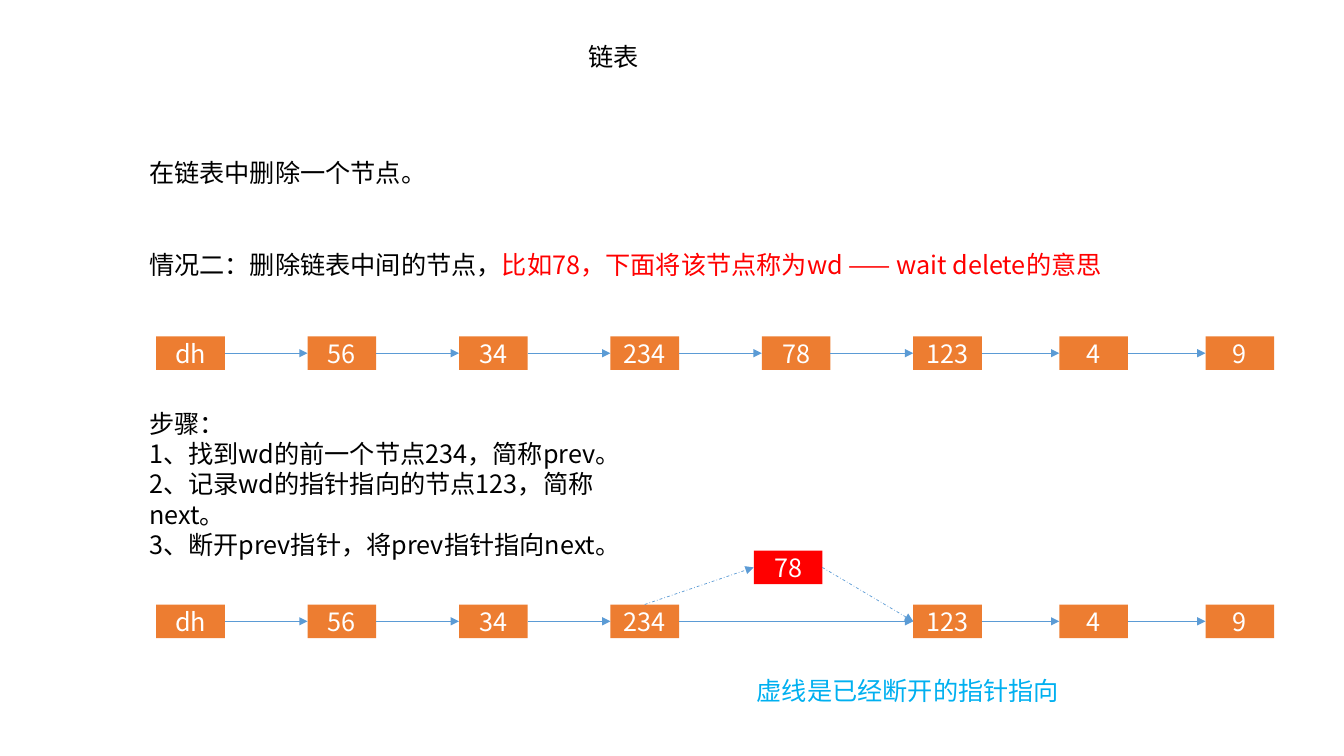
from itertools import accumulate

from lxml import etree
from pptx import Presentation
from pptx import util as u
from pptx.dml.color import RGBColor
from pptx.enum import dml, shapes, text
from pptx.oxml.ns import qn

TOP, LEFT, RIGHT = 0, 1, 3  # connection sites of a rectangle


def color(value):
    return RGBColor.from_string(value)


class SlideBuilder:
    font, size = "Noto Sans CJK SC", 18
    black, white, red, blue = "000000", "FFFFFF", "FF0000", "00B0F0"
    node_fill, arrow_line = "ED7D31", "5B9BD5"
    node_width, node_height = 49, 24

    def __init__(self, slide):
        self.slide = slide

    def run(self, paragraph, words, ink):
        run = paragraph.add_run()
        run.text = words
        run.font.name = self.font
        run.font.size = u.Pt(self.size)
        run.font.color.rgb = color(ink)
        east_asian = etree.SubElement(run.font._element, qn("a:ea"))
        east_asian.set("typeface", self.font)

    def text_box(self, left, top, width, height, paragraphs):
        box = self.slide.shapes.add_textbox(
            u.Pt(left), u.Pt(top), u.Pt(width), u.Pt(height))
        frame = box.text_frame
        frame.word_wrap = True
        for index, runs in enumerate(paragraphs):
            paragraph = frame.add_paragraph() if index else frame.paragraphs[0]
            for words, ink in runs:
                self.run(paragraph, words, ink)

    def node(self, left, top, label, fill=node_fill):
        shape = self.slide.shapes.add_shape(
            shapes.MSO_SHAPE.RECTANGLE, u.Pt(left), u.Pt(top),
            u.Pt(self.node_width), u.Pt(self.node_height))
        shape.shadow.inherit = False
        shape.fill.solid()
        shape.fill.fore_color.rgb = color(fill)
        shape.line.fill.background()
        frame = shape.text_frame
        frame.vertical_anchor = text.MSO_ANCHOR.MIDDLE
        paragraph = frame.paragraphs[0]
        paragraph.alignment = text.PP_ALIGN.CENTER
        self.run(paragraph, label, self.white)
        return shape

    def arrow(self, source, target, source_site=RIGHT, dashed=False):
        connector = self.slide.shapes.add_connector(
            shapes.MSO_CONNECTOR.STRAIGHT, 0, 0, 0, 0)
        connector.begin_connect(source, source_site)
        connector.end_connect(target, LEFT)
        line = connector.line
        line.color.rgb = color(self.arrow_line)
        line.width = u.Pt(0.5)
        if dashed:
            line.dash_style = dml.MSO_LINE.DASH_DOT
        properties = connector._element.spPr
        etree.SubElement(properties.find(qn("a:ln")), qn("a:tailEnd"), type="triangle")
        etree.SubElement(properties, qn("a:effectLst"))
        return connector

    def linked_list(self, top, positions):
        """Draw a grouped row of nodes, each pointing to the next one."""
        nodes = {label: self.node(left, top, label) for label, left in positions.items()}
        row = list(nodes.values())
        arrows = [self.arrow(source, target) for source, target in zip(row, row[1:])]
        self.slide.shapes.add_group_shape(row + arrows)
        return nodes


def main():
    presentation = Presentation()
    presentation.slide_width, presentation.slide_height = u.Pt(960), u.Pt(540)
    slide = presentation.slides.add_slide(presentation.slide_layouts[6])
    builder = SlideBuilder(slide)
    black, red = builder.black, builder.red

    # Title and explanation
    builder.text_box(413.3, 25.9, 51.2, 29, [[("链表", black)]])
    builder.text_box(99.4, 108.7, 214.6, 29, [[("在链表中删除一个节点。", black)]])
    builder.text_box(99.4, 174.2, 697, 29, [[
        ("情况二：删除链表中间的节点，", black),
        ("比如78，下面将该节点称为wd —— wait delete的意思", red),
    ]])
    steps = [
        "步骤：",
        "1、找到wd的前一个节点234，简称prev。",
        "2、记录wd的指针指向的节点123，简称next。",
        "3、断开prev指针，将prev指针指向next。",
    ]
    builder.text_box(99.4, 288, 381.6, 94.3, [[(step, black)] for step in steps])

    # List before the deletion
    labels = ["dh", "56", "34", "234", "78", "123", "4", "9"]
    gaps = [108.14] * 5 + [104.4] * 2
    positions = dict(zip(labels, accumulate(gaps, initial=111.6)))
    builder.linked_list(240.3, positions)

    # List after the deletion
    remaining = {label: left for label, left in positions.items() if label != "78"}
    nodes = builder.linked_list(431.8, remaining)

    # Deleted node with its broken pointers
    deleted = builder.node(538.4, 393.3, "78", red)
    builder.arrow(nodes["234"], deleted, TOP, dashed=True)
    builder.arrow(deleted, nodes["123"], dashed=True)
    builder.text_box(533.5, 478.8, 232.6, 29, [[("虚线是已经断开的指针指向", builder.blue)]])

    presentation.save("out.pptx")


if __name__ == "__main__":
    main()
